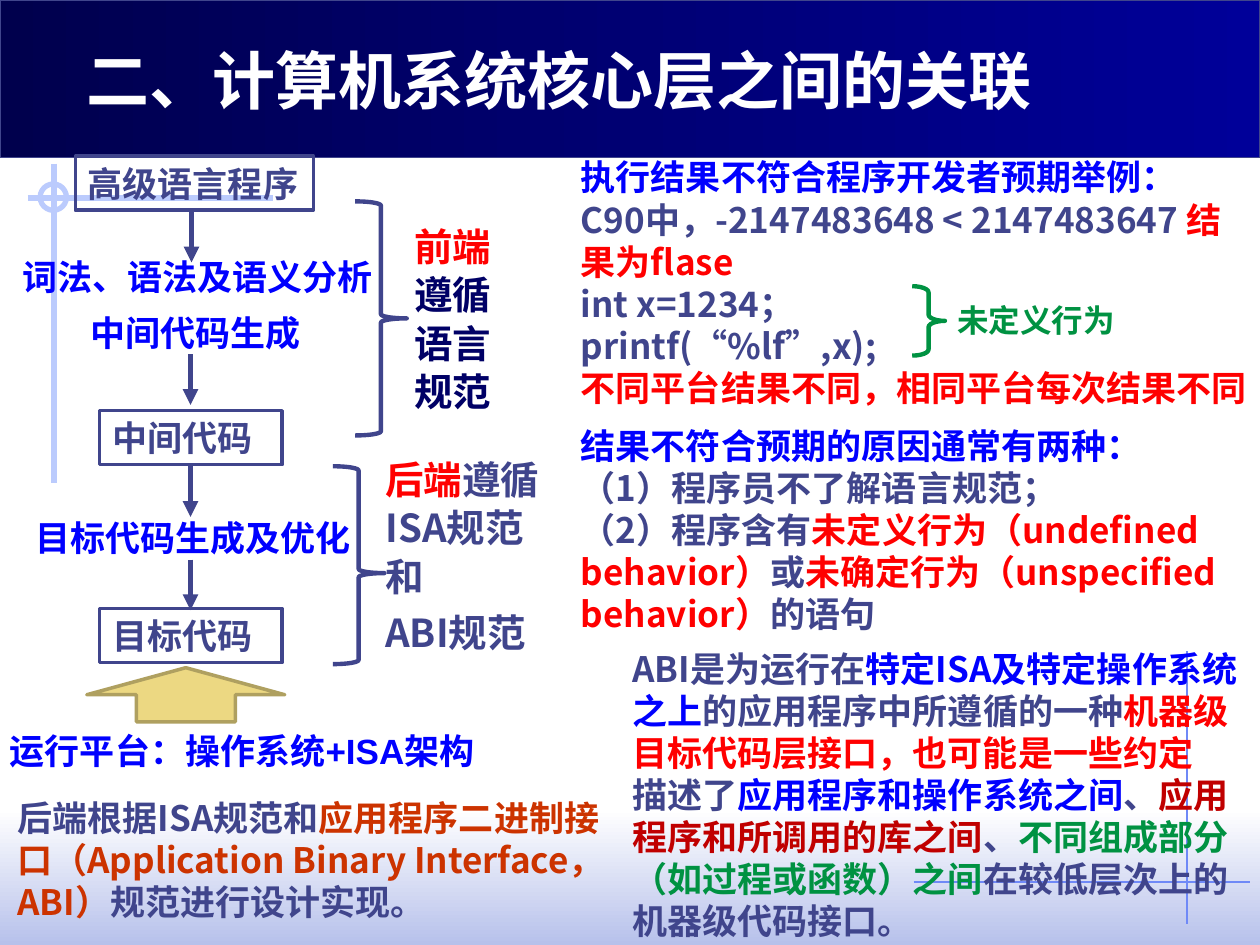
"""Build the slide on how the core layers of a computer system are linked."""
from dataclasses import dataclass
from typing import NamedTuple

from lxml import etree
from pptx import Presentation
from pptx.dml.color import RGBColor
from pptx.enum.shapes import MSO_CONNECTOR, MSO_SHAPE
from pptx.enum.text import MSO_ANCHOR, PP_ALIGN
from pptx.oxml.ns import qn
from pptx.util import Cm, Pt

STRAIGHT = MSO_CONNECTOR.STRAIGHT
RECTANGLE, OVAL = MSO_SHAPE.RECTANGLE, MSO_SHAPE.OVAL
BRACE, DOWN_ARROW = MSO_SHAPE.RIGHT_BRACE, MSO_SHAPE.DOWN_ARROW
TOP, LEFT = MSO_ANCHOR.TOP, PP_ALIGN.LEFT


@dataclass(frozen=True)
class Theme:
    slate: str = "40458C"
    blue: str = "0000FF"
    red: str = "FF0000"
    green: str = "009242"
    navy: str = "000066"
    orange: str = "CC3300"
    crimson: str = "C00000"
    white: str = "FFFFFF"
    title_start: str = "00004D"
    title_end: str = "000099"
    footer_end: str = "B7C1EB"
    pale_line: str = "BBCBFD"
    thin_line: str = "6F89F7"
    sand: str = "ECD882"
    sand_line: str = "AFA060"
    title_size: float = 36
    side_size: float = 22
    body_size: float = 20
    note_size: float = 18
    chinese: str = "Noto Sans CJK SC"
    title_font: str = "Noto Sans CJK JP"
    latin: str = "Arial"


THEME = Theme()


class Box(NamedTuple):
    left: float
    top: float
    width: float
    height: float


class Part(NamedTuple):
    text: str
    color: str


class Line(NamedTuple):
    start: tuple[float, float]
    end: tuple[float, float]
    color: str
    weight: float


class Step(NamedTuple):
    text: str
    box: Box


class Brace(NamedTuple):
    box: Box
    color: str
    curve: float
    middle: float


def rgb(color: str) -> RGBColor:
    """Turn a hex colour into an RGBColor."""
    return RGBColor.from_string(color)


def add_shape(slide, kind, box: Box, *, fill=None, line=None, weight=2.0):
    """Add a preset shape with an optional fill, gradient and outline."""
    shape = slide.shapes.add_shape(kind, *map(Cm, box))
    shape.shadow.inherit = False
    if isinstance(fill, tuple):
        shape.fill.gradient()
        for stop, color in zip(shape.fill.gradient_stops, fill):
            stop.color.rgb = rgb(color)
    elif fill:
        shape.fill.solid()
        shape.fill.fore_color.rgb = rgb(fill)
    else:
        shape.fill.background()
    if line:
        shape.line.color.rgb = rgb(line)
        shape.line.width = Pt(weight)
    else:
        shape.line.fill.background()
    return shape


def add_line(slide, line: Line, *, arrow: bool = False) -> None:
    """Draw a straight line, with an arrowhead if asked for."""
    connector = slide.shapes.add_connector(STRAIGHT, *map(Cm, line.start + line.end))
    connector.line.color.rgb = rgb(line.color)
    connector.line.width = Pt(line.weight)
    if arrow:
        outline = connector.line._get_or_add_ln()
        etree.SubElement(outline, qn("a:tailEnd"), type="triangle")
    etree.SubElement(connector._element.spPr, qn("a:effectLst"))


def write_text(shape, paragraphs: list[list[Part]], *, size=THEME.body_size,
               font=THEME.chinese, spacing=1.0, gaps: dict[int, float] | None = None) -> None:
    """Write bold coloured parts; gaps maps a paragraph number to the points above it."""
    frame = shape.text_frame
    frame.word_wrap = True
    frame.vertical_anchor = TOP
    for number, parts in enumerate(paragraphs):
        paragraph = frame.add_paragraph() if number else frame.paragraphs[0]
        paragraph.alignment = LEFT
        paragraph.line_spacing = spacing
        paragraph.space_before = Pt((gaps or {}).get(number, 0))
        for part in parts:
            run = paragraph.add_run()
            run.text = part.text
            run.font.size, run.font.bold, run.font.name = Pt(size), True, font
            run.font.color.rgb = rgb(part.color)
            east_asian = THEME.chinese if font == THEME.latin else font
            etree.SubElement(run._r.rPr, qn("a:ea"), typeface=east_asian)


def add_text(slide, box: Box, paragraphs: list[list[Part]], **style) -> None:
    """Add a text box."""
    write_text(slide.shapes.add_textbox(*map(Cm, box)), paragraphs, **style)


def draw_background(slide) -> None:
    """Draw the title band, the footer fade and the ornamental lines."""
    footer = add_shape(slide, RECTANGLE, Box(0, 16.31, 25.4, 2.74),
                       fill=(THEME.white, THEME.footer_end))
    footer.fill.gradient_angle = 270
    for line in (Line((23.93, 13.13), (23.93, 18.62), THEME.thin_line, 0.75),
                 Line((18.42, 17.78), (25.2, 17.78), THEME.thin_line, 0.75),
                 Line((0.56, 3.99), (5.51, 3.99), THEME.pale_line, 3),
                 Line((1.09, 3.3), (1.09, 9.73), THEME.pale_line, 3)):
        add_line(slide, line)
    add_shape(slide, OVAL, Box(0.81, 3.71, 0.53, 0.53), line=THEME.pale_line, weight=3)
    band = add_shape(slide, RECTANGLE, Box(0, 0, 25.4, 3.18), line=THEME.slate, weight=0.75,
                     fill=(THEME.title_start, THEME.title_end))
    band.fill.gradient_angle = 0
    add_text(slide, Box(1.5, 0.71, 20.19, 1.8),
             [[Part("二、计算机系统核心层之间的关联", THEME.white)]],
             size=THEME.title_size, font=THEME.title_font)


def draw_flow(slide) -> None:
    """Draw the compilation flow from source program to platform."""
    for step in (Step("高级语言程序", Box(1.52, 3.15, 4.8, 1.09)),
                 Step("中间代码", Box(2.01, 8.28, 3.68, 1.09)),
                 Step("目标代码", Box(2.01, 12.27, 3.68, 1.09))):
        shape = add_shape(slide, RECTANGLE, step.box, line=THEME.slate)
        write_text(shape, [[Part(step.text, THEME.slate)]], font=THEME.latin)
    for step in (Step("词法、语法及语义分析", Box(0.2, 5.03, 7.87, 1.12)),
                 Step("中间代码生成", Box(1.57, 6.15, 4.98, 1.09)),
                 Step("目标代码生成及优化", Box(0.46, 10.29, 7.01, 1.12)),
                 Step("运行平台：操作系统+ISA架构", Box(-0.05, 14.58, 10.46, 1.12))):
        add_text(slide, step.box, [[Part(step.text, THEME.blue)]], font=THEME.latin)
    for x, y in ((3.86, 4.27), (3.84, 7.14), (3.84, 9.4), (3.84, 11.28)):
        add_line(slide, Line((x, y), (x, y + 1.02), THEME.slate, 3), arrow=True)
    platform = add_shape(slide, DOWN_ARROW, Box(1.75, 13.46, 3.99, 1.09),
                         fill=THEME.sand, line=THEME.sand_line)
    platform.rotation = 180
    for brace in (Brace(Box(7.16, 4.06, 1.04, 4.72), THEME.slate, 0.08, 0.5),
                  Brace(Box(6.71, 9.4, 1.04, 3.99), THEME.slate, 0.08, 0.54),
                  Brace(Box(18.39, 5.77, 0.66, 1.4), THEME.green, 0.19, 0.5)):
        shape = add_shape(slide, BRACE, brace.box, line=brace.color, weight=2.5)
        shape.adjustments[0], shape.adjustments[1] = brace.curve, brace.middle


def draw_notes(slide) -> None:
    """Write the explanations beside and below the flow."""
    slate, blue, red, green = THEME.slate, THEME.blue, THEME.red, THEME.green
    add_text(slide, Box(8.1, 4.32, 2.18, 1.24),
             [[Part("前端", red), Part("遵循语言规范", THEME.navy)]],
             size=THEME.side_size, spacing=1.05)
    add_text(slide, Box(7.52, 9.02, 3.68, 5),
             [[Part("后端", red), Part("遵循ISA规范和", slate)], [Part("ABI规范", slate)]],
             size=THEME.side_size, spacing=1.05, gaps={1: 4.4})
    add_text(slide, Box(11.46, 3.02, 13.97, 10.01), [
        [Part("执行结果不符合程序开发者预期举例：", blue)],
        [Part("C90中，-2147483648 < 2147483647 ", slate), Part("结果为flase", red)],
        [Part("int x=1234；", slate)],
        [Part("printf(“%lf”,x);", slate)],
        [Part("不同平台结果不同，相同平台每次结果不同", red)],
        [Part("结果不符合预期的原因通常有两种：", blue)],
        [Part("（1）程序员不了解语言规范；", slate)],
        [Part("（2）程序含有", slate), Part("未定义行为（undefined  behavior）", red),
         Part("或", slate), Part("未确定行为（unspecified behavior）", red),
         Part("的语句", slate)]], gaps={5: 9.5})
    add_text(slide, Box(19.05, 5.94, 4.01, 1.02), [[Part("未定义行为", green)]],
             size=THEME.note_size)
    add_text(slide, Box(0.1, 15.93, 12.47, 2.82), [
        [Part("后端根据ISA规范和", slate),
         Part("应用程序二进制接口（Application Binary Interface，ABI）", THEME.orange),
         Part("规范进行设计实现。", slate)]])
    add_text(slide, Box(12.5, 12.93, 12.8, 6.25), [
        [Part("ABI是为运行在", slate), Part("特定ISA及特定操作系统之上", blue),
         Part("的应用程序中所遵循的一种", slate),
         Part("机器级目标代码层接口，也可能是一些约定", red)],
        [Part("描述了", slate), Part("应用程序和操作系统之间", blue), Part("、", slate),
         Part("应用程序和所调用的库之间", THEME.crimson), Part("、", slate),
         Part("不同组成部分（如过程或函数）之间", green),
         Part("在较低层次上的机器级代码接口。", slate)]])


def main() -> None:
    """Assemble and save the presentation."""
    presentation = Presentation()
    presentation.slide_width, presentation.slide_height = Cm(25.4), Cm(19.05)
    slide = presentation.slides.add_slide(presentation.slide_layouts[6])
    draw_background(slide)
    draw_flow(slide)
    draw_notes(slide)
    presentation.save("out.pptx")


if __name__ == "__main__":
    main()
